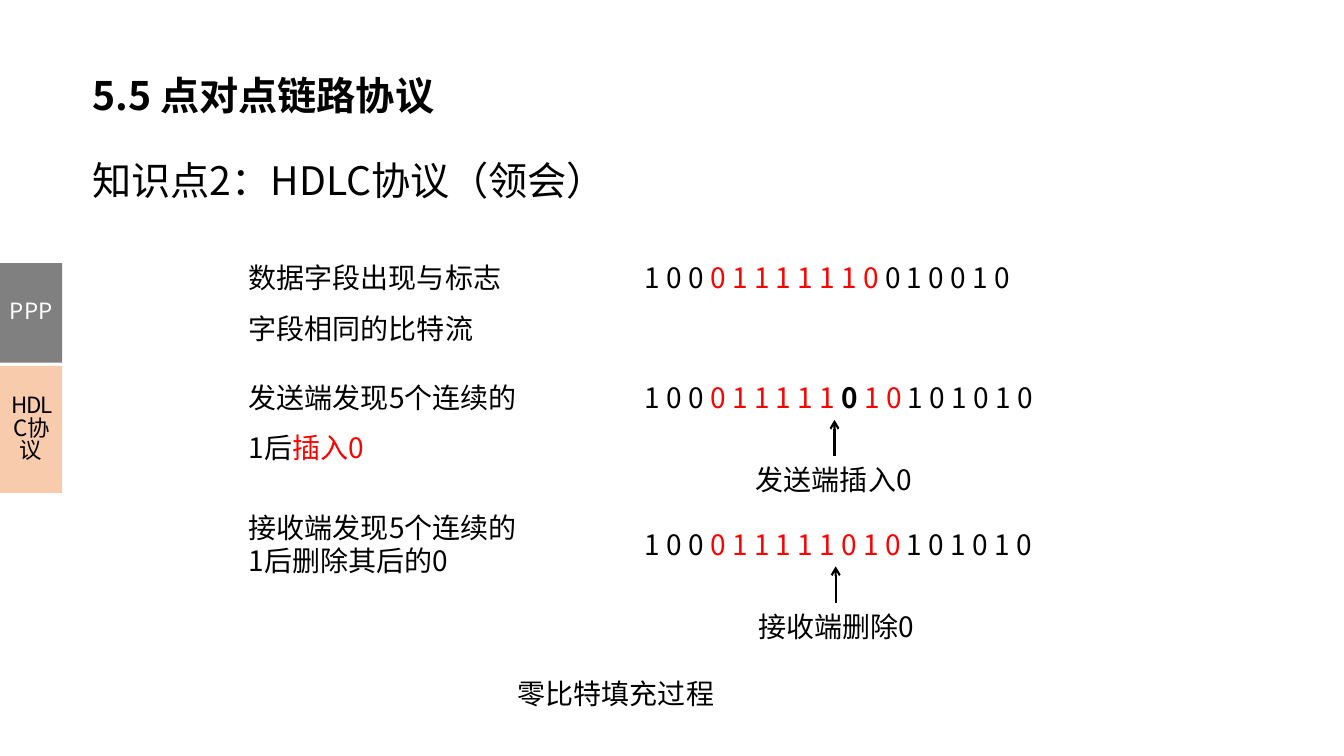
"""Build the slide on HDLC zero-bit stuffing."""
import dataclasses

import lxml.etree
import pptx
import pptx.dml.color
import pptx.enum.shapes
import pptx.enum.text
import pptx.oxml.ns
import pptx.util

Cm, Pt = pptx.util.Cm, pptx.util.Pt
ANCHOR = pptx.enum.text.MSO_ANCHOR
ALIGN = pptx.enum.text.PP_ALIGN
qn = pptx.oxml.ns.qn


@dataclasses.dataclass(frozen=True)
class Theme:
    font: str = "Noto Sans CJK SC"
    heading: int = 28
    body: int = 20
    tab: int = 16
    black: str = "000000"
    red: str = "FF0000"
    white: str = "FFFFFF"
    grey: str = "808080"
    peach: str = "F8CBAD"


def rgb(code):
    return pptx.dml.color.RGBColor.from_string(code)


class SlideBuilder:
    def __init__(self, slide, theme):
        self.slide = slide
        self.theme = theme

    def fill_text(self, frame, paragraphs, size, spacing=1.0, align=ALIGN.LEFT,
                  anchor=ANCHOR.TOP, tracking=0):
        frame.word_wrap = True
        frame.auto_size = pptx.enum.text.MSO_AUTO_SIZE.NONE
        frame.vertical_anchor = anchor
        for index, runs in enumerate(paragraphs):
            paragraph = frame.add_paragraph() if index else frame.paragraphs[0]
            paragraph.alignment = align
            paragraph.line_spacing = spacing
            for text, color, bold in runs:
                run = paragraph.add_run()
                run.text = text
                run.font.name = self.theme.font
                run.font.size = Pt(size)
                run.font.bold = bold
                run.font.color.rgb = rgb(color)
                properties = run.font._element
                lxml.etree.SubElement(properties, qn("a:ea"), typeface=self.theme.font)
                if tracking:
                    properties.set("spc", str(tracking))

    def pad_heading(self, frame):
        frame.margin_left = frame.margin_right = Cm(0.3)
        frame.margin_top = frame.margin_bottom = Cm(0.15)

    def title(self, text, left, top, width, height):
        heading = self.slide.shapes.title
        heading.left, heading.top = Cm(left), Cm(top)
        heading.width, heading.height = Cm(width), Cm(height)
        self.pad_heading(heading.text_frame)
        self.fill_text(heading.text_frame, [[(text, self.theme.black, True)]],
                       self.theme.heading)

    def text(self, paragraphs, left, top, width, height, size=None, **layout):
        box = self.slide.shapes.add_textbox(Cm(left), Cm(top), Cm(width), Cm(height))
        self.fill_text(box.text_frame, paragraphs, size or self.theme.body, **layout)
        return box

    def tab(self, text, top, height, fill, color, tracking=0):
        tab = self.slide.shapes.add_shape(
            pptx.enum.shapes.MSO_SHAPE.RECTANGLE, Cm(0), Cm(top), Cm(1.57), Cm(height))
        tab.shadow.inherit = False
        tab.fill.solid()
        tab.fill.fore_color.rgb = rgb(fill)
        tab.line.fill.background()
        self.fill_text(tab.text_frame, [[(text, color, False)]], self.theme.tab, Pt(16),
                       ALIGN.CENTER, ANCHOR.MIDDLE, tracking)

    def arrow_up(self, x, tail, tip):
        arrow = self.slide.shapes.add_connector(
            pptx.enum.shapes.MSO_CONNECTOR.STRAIGHT, Cm(x), Cm(tail), Cm(x), Cm(tip))
        arrow.line.color.rgb = rgb(self.theme.black)
        arrow.line.width = Pt(1.5)
        outline = arrow._element.spPr.find(qn("a:ln"))
        lxml.etree.SubElement(outline, qn("a:tailEnd"), type="arrow")
        lxml.etree.SubElement(arrow._element.spPr, qn("a:effectLst"))


def main():
    deck = pptx.Presentation()
    deck.slide_width, deck.slide_height = Cm(33.87), Cm(19.05)
    theme = Theme()
    builder = SlideBuilder(deck.slides.add_slide(deck.slide_layouts[5]), theme)

    def plain(text):
        return text, theme.black, False

    def marked(text):
        return text, theme.red, False

    builder.title("5.5 点对点链路协议", 2.03, 1.65, 24.51, 1.5)
    topic = builder.text([[plain("知识点2：HDLC协议（领会）")]], 2.03, 2.92, 30.89, 2.64,
                         theme.heading, spacing=1.5, anchor=ANCHOR.MIDDLE)
    builder.pad_heading(topic.text_frame)

    steps = [
        (6.02, 2.67, 1.5,
         [[plain("数据字段出现与标志")], [plain("字段相同的比特流")]],
         6.43, [plain("1 0 0 "), marked("0 1 1 1 1 1 1 0 "), plain("0 1 0 0 1 0")]),
        (9.04, 2.82, 1.5,
         [[plain("发送端发现5个连续的")], [plain("1后"), marked("插入0")]],
         9.47, [plain("1 0 0 "), marked("0 1 1 1 1 1 "), ("0", theme.black, True),
                marked(" 1 0"), plain(" 1 0 1 0 1 0")]),
        (12.73, 1.96, 1.0,
         [[plain("接收端发现5个连续的")], [plain("1后删除其后的0")]],
         13.16, [plain("1 0 0 "), marked("0 1 1 1 1 1 0 1 0"), plain(" 1 0 1 0 1 0")]),
    ]
    for top, height, spacing, description, bits_top, bits in steps:
        builder.text(description, 6.02, top, 7.7, height, spacing=spacing)
        builder.text([bits], 16, bits_top, 12.95, 1.12)

    for bits_top, arrow_x, label_left, action in [
        (9.47, 21.03, 18.8, "发送端插入0"),
        (13.16, 21.06, 18.87, "接收端删除0"),
    ]:
        builder.arrow_up(arrow_x, bits_top + 2.03, bits_top + 1.11)
        builder.text([[plain(action)]], label_left, bits_top + 2.07, 5.64, 1.12)

    builder.text([[plain("零比特填充过程")]], 12.8, 16.92, 8.76, 1.12)
    builder.tab("PPP", 6.63, 2.51, theme.grey, theme.white)
    builder.tab("HDLC协议", 9.22, 3.2, theme.peach, theme.black, tracking=-100)
    deck.save("out.pptx")


if __name__ == "__main__":
    main()
